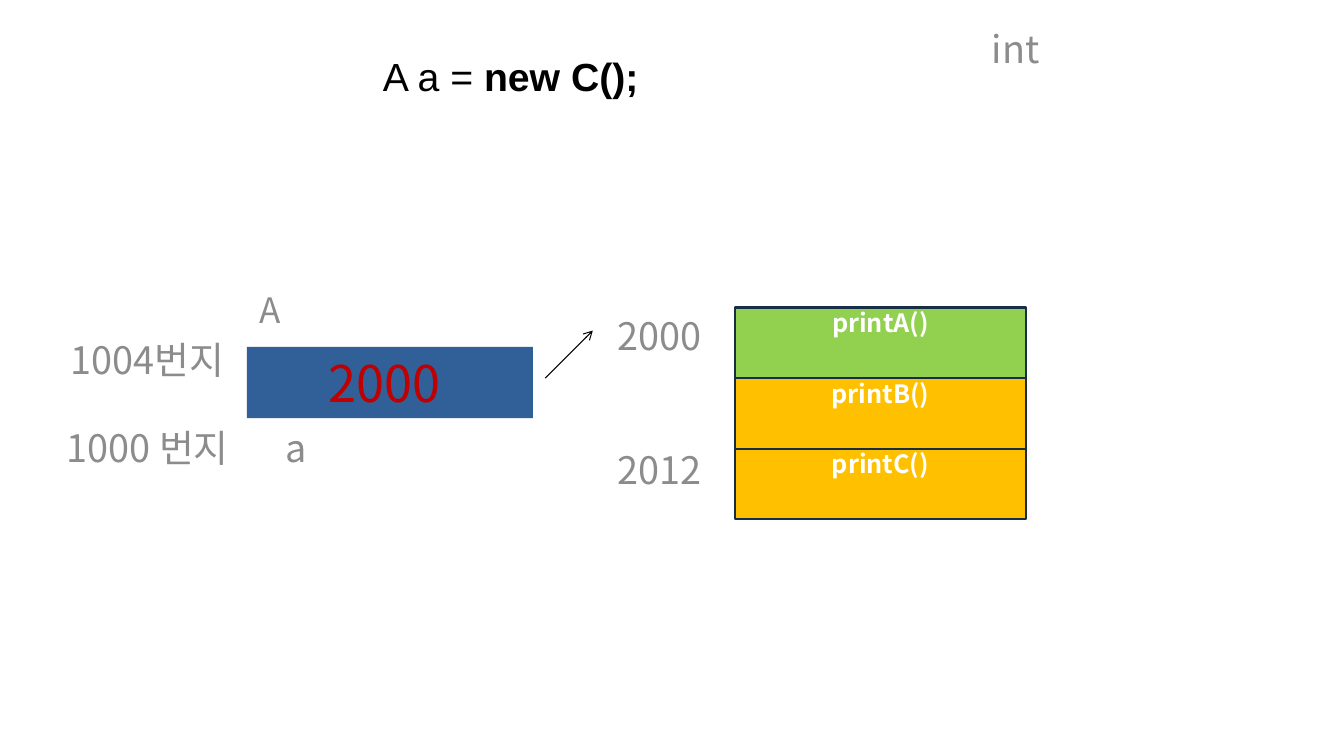
"""Build a slide showing how a parent-type variable refers to a child object in memory."""
import pptx
import pptx.dml.color
import pptx.enum.shapes
import pptx.enum.text
import pptx.oxml
import pptx.oxml.ns
import pptx.util
from pptx.util import Cm

LABELS = [
    ("A", 5.82, 7.14, 1.98, "type"),
    ("a", 6.3, 10.57, 2.31, "label"),
    ("1004번지", 1.14, 8.36, 5.16, "label"),
    ("1000 번지", 1.14, 10.57, 5.16, "label"),
    ("2000 ", 14.94, 7.75, 3.58, "label"),
    ("2012 ", 14.94, 11.13, 3.58, "label"),
    ("int", 23.67, 0.53, 3.86, "label"),
]
STATEMENT = [("A a = ", False), ("new C();", True)]
REFERENCE = "2000 "
METHODS = [("printA()", "inherited"), ("printB()", "added"), ("printC()", "added")]

THEME = {
    "body_font": "Noto Sans CJK KR",
    "code_font": "Arial",
    "colors": {
        "label": "8C8C8C", "variable": "315F97", "reference": "C00000",
        "inherited": "92D050", "added": "FFC000", "border": "172D48",
        "method": "FFFFFF", "code": "000000",
    },
    "sizes": {"type": 25, "label": 27, "reference": 36, "code": 28, "method": 18},
}

LABEL_HEIGHT = 1.22
METHOD_LEFT, METHOD_TOP, METHOD_WIDTH, METHOD_HEIGHT = 18.52, 7.75, 7.34, 1.78


def color(name):
    return pptx.dml.color.RGBColor.from_string(THEME["colors"][name])


def style_text(shape, runs, size, color_name, font, anchor="TOP", align="CENTER", space=0.25, inset=0.13):
    frame = shape.text_frame
    frame.word_wrap = True
    frame.vertical_anchor = getattr(pptx.enum.text.MSO_ANCHOR, anchor)
    frame.margin_top = frame.margin_bottom = Cm(inset)
    paragraph = frame.paragraphs[0]
    paragraph.alignment = getattr(pptx.enum.text.PP_ALIGN, align)
    paragraph.space_before = pptx.util.Pt(THEME["sizes"][size] * space)
    paragraph.font.size = pptx.util.Pt(THEME["sizes"][size])
    paragraph.font.name = font
    paragraph.font.color.rgb = color(color_name)
    for text, bold in runs:
        run = paragraph.add_run()
        run.text = text
        run.font.bold = bold
        properties = run.font._element
        east_asian = properties.makeelement(pptx.oxml.ns.qn("a:ea"), {"typeface": THEME["body_font"]})
        properties.append(east_asian)


def add_box(slide, left, top, width, height, fill, border=None):
    shape = slide.shapes.add_shape(
        pptx.enum.shapes.MSO_SHAPE.RECTANGLE, Cm(left), Cm(top), Cm(width), Cm(height))
    shape.shadow.inherit = False
    shape.fill.solid()
    shape.fill.fore_color.rgb = color(fill)
    if border:
        shape.line.color.rgb = color(border)
        shape.line.width = pptx.util.Pt(1.5)
    else:
        shape.line.fill.background()
    return shape


def add_arrow(slide, start, end):
    arrow = slide.shapes.add_connector(
        pptx.enum.shapes.MSO_CONNECTOR.STRAIGHT, *map(Cm, start + end))
    arrow.line.color.rgb = color("code")
    arrow.line.width = pptx.util.Pt(0.75)
    line = arrow.line._get_or_add_ln()
    line.append(line.makeelement(pptx.oxml.ns.qn("a:tailEnd"), {"type": "arrow"}))
    properties = line.getparent()
    properties.append(properties.makeelement(pptx.oxml.ns.qn("a:effectLst"), {}))


def main():
    presentation = pptx.Presentation()
    presentation.slide_width, presentation.slide_height = Cm(33.87), Cm(19.05)
    slide = presentation.slides.add_slide(presentation.slide_layouts[6])

    statement = slide.shapes.add_textbox(Cm(9.4), Cm(1.19), Cm(13.49), Cm(3.38))
    style_text(statement, STATEMENT, "code", "code", THEME["code_font"], align="LEFT", space=0.375)

    for text, left, top, width, size in LABELS:
        label = slide.shapes.add_textbox(Cm(left), Cm(top), Cm(width), Cm(LABEL_HEIGHT))
        style_text(label, [(text, False)], size, "label", THEME["body_font"])

    variable = add_box(slide, 6.22, 8.74, 7.21, 1.8, "variable")
    style_text(variable, [(REFERENCE, False)], "reference", "reference", THEME["body_font"], "MIDDLE")

    for index, (name, fill) in enumerate(METHODS):
        top = METHOD_TOP + index * METHOD_HEIGHT
        method = add_box(slide, METHOD_LEFT, top, METHOD_WIDTH, METHOD_HEIGHT, fill, "border")
        style_text(method, [(name, True)], "method", "method", THEME["body_font"], space=0, inset=0)

    add_arrow(slide, (13.74, 9.53), (14.94, 8.33))
    presentation.save("out.pptx")


if __name__ == "__main__":
    main()
